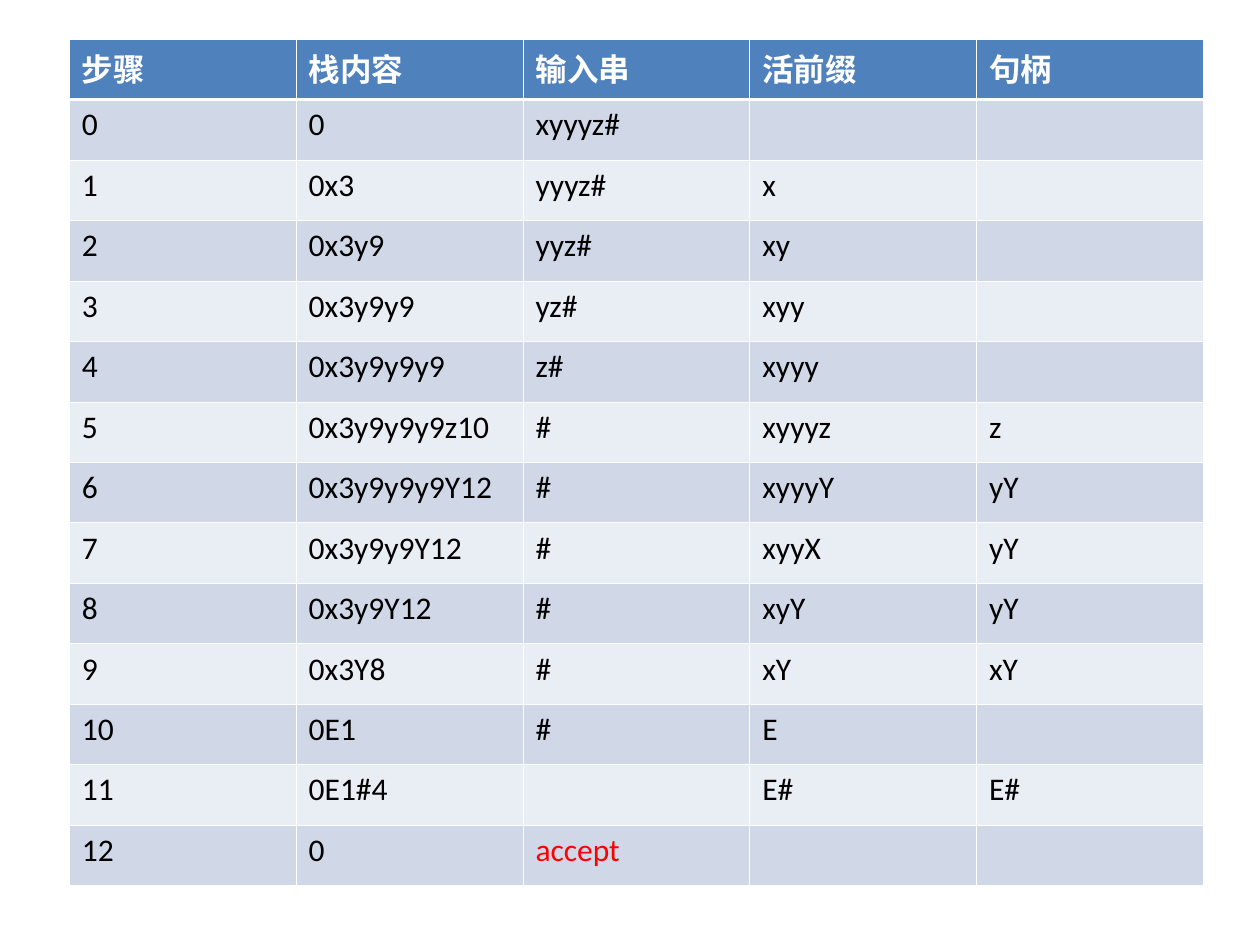
import lxml.etree
import pptx
import pptx.dml.color
import pptx.oxml.ns
import pptx.util

Inches = pptx.util.Inches
HEAD = ["步骤", "栈内容", "输入串", "活前缀", "句柄"]
STEPS = [
    ["0", "xyyyz#", "", ""],
    ["0x3", "yyyz#", "x", ""],
    ["0x3y9", "yyz#", "xy", ""],
    ["0x3y9y9", "yz#", "xyy", ""],
    ["0x3y9y9y9", "z#", "xyyy", ""],
    ["0x3y9y9y9z10", "#", "xyyyz", "z"],
    ["0x3y9y9y9Y12", "#", "xyyyY", "yY"],
    ["0x3y9y9Y12", "#", "xyyX", "yY"],
    ["0x3y9Y12", "#", "xyY", "yY"],
    ["0x3Y8", "#", "xY", "xY"],
    ["0E1", "#", "E", ""],
    ["0E1#4", "", "E#", "E#"],
    ["0", "accept", "", ""],
]


def paint(color):
    """Return the colour for a hex string."""
    return pptx.dml.color.RGBColor.from_string(color)


def write(frame, text, size=18, font="Calibri", color="000000", bold=False):
    """Put formatted text in a frame."""
    run = frame.paragraphs[0].add_run()
    run.text = text
    run.font.size = pptx.util.Pt(size)
    run.font.name = font
    run.font.bold = bold
    run.font.color.rgb = paint(color)


def border(cell, color="FFFFFF", **widths):
    """Draw the cell's edges, given as L, R, T and B in points."""
    qn = pptx.oxml.ns.qn
    props = cell._tc.get_or_add_tcPr()
    for place, side in enumerate("LRTB"):
        line = lxml.etree.Element(qn("a:ln" + side), w=str(pptx.util.Pt(widths[side])))
        fill = lxml.etree.SubElement(line, qn("a:solidFill"))
        lxml.etree.SubElement(fill, qn("a:srgbClr"), val=color)
        props.insert(place, line)


def trace(slide, left, top, width, height):
    """Place the table of parsing steps in the given box."""
    rows = [HEAD] + [[str(step)] + rest for step, rest in enumerate(STEPS)]
    frame = slide.shapes.add_table(len(rows), len(HEAD), left, top, width, height)
    table = frame.table
    for column in table.columns:
        column.width = width // len(HEAD)
    for row in table.rows:
        row.height = height // len(rows)
    thin, thick = 0.45, 1.47
    for r, row in enumerate(rows):
        back = "4F81BD" if r == 0 else "D0D8E8" if r % 2 else "E9EDF4"
        for c, text in enumerate(row):
            cell = table.cell(r, c)
            cell.fill.solid()
            cell.fill.fore_color.rgb = paint(back)
            border(cell, L=thin, R=thin, T=thick if r == 1 else thin,
                   B=thick if r == 0 else thin)
            if text:
                color = "FFFFFF" if r == 0 else "FF0000" if text == "accept" else "000000"
                write(cell.text_frame, text, color=color, bold=r == 0)


def main():
    """Build and save the slide."""
    deck = pptx.Presentation()
    deck.slide_width, deck.slide_height = Inches(10), Inches(7.5)
    slide = deck.slides.add_slide(deck.slide_layouts[6])
    trace(slide, Inches(0.55), Inches(0.31), Inches(9), Inches(6.72))
    deck.save("out.pptx")


if __name__ == "__main__":
    main()
